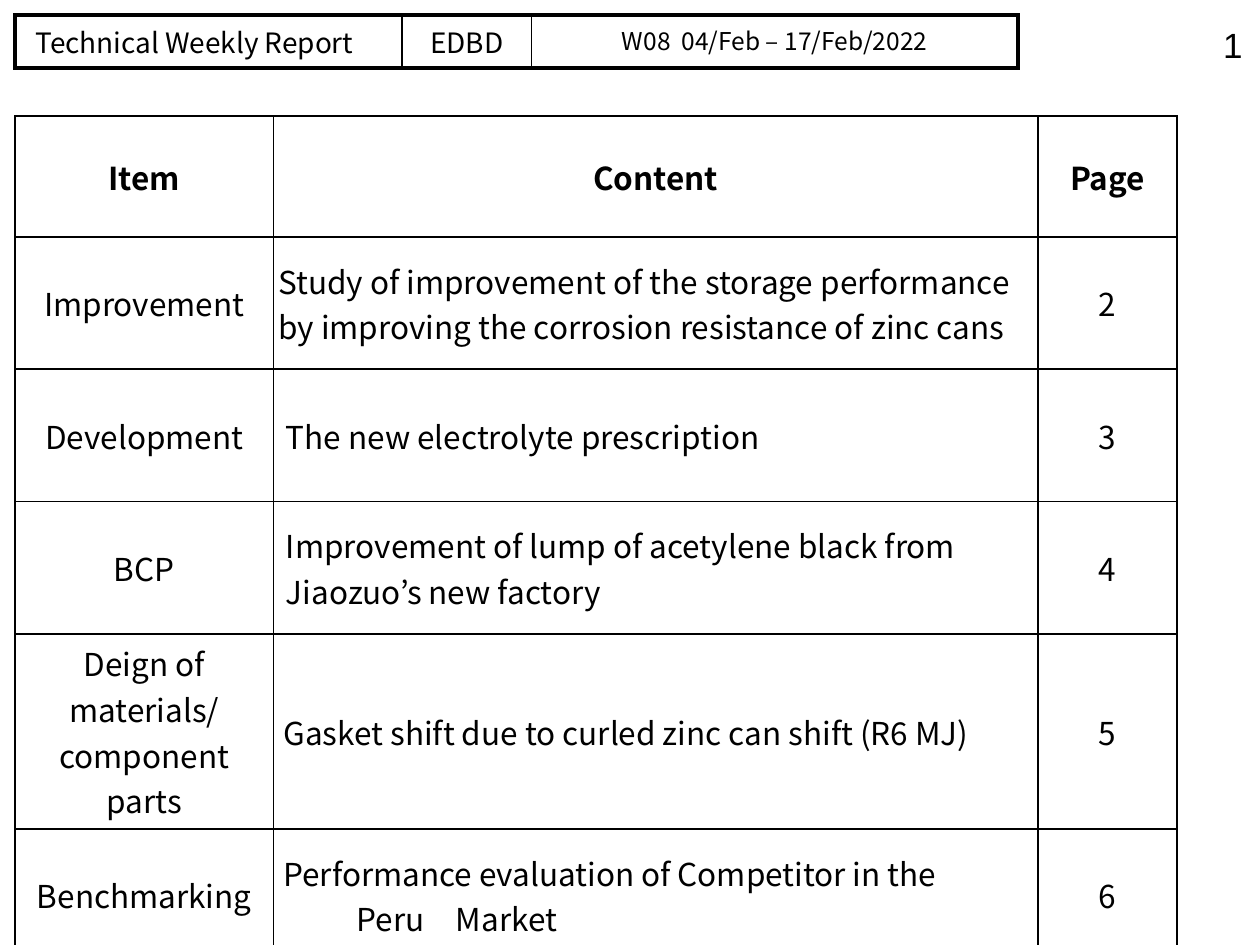
from pptx import Presentation
from pptx.dml.color import RGBColor
from pptx.enum.text import MSO_ANCHOR, PP_ALIGN
from pptx.oxml.ns import qn
from pptx.util import Inches, Pt
from lxml.etree import SubElement

BLACK = RGBColor(0, 0, 0)
FONT = "Noto Sans CJK JP"
THIN, THICK = 1, 2.25

ITEMS = [  # item lines, content, side margin, hanging indent, row height
    (["Improvement"], "Study of improvement of the storage performance "
     "by improving the corrosion resistance of zinc cans", 0.04, 0, 1.05),
    (["Development"], "The new electrolyte prescription", 0.1, 0, 1.05),
    (["BCP"], "Improvement of lump of acetylene black from "
     "Jiaozuo’s new factory", 0.1, 0, 1.05),
    (["Deign of materials/", "component parts"],
     "Gasket shift due to curled zinc can shift (R6 MJ)", 0.08, 0.58, 1.55),
    (["Benchmarking"], "Performance evaluation of Competitor in the "
     "Peru　Market", 0.08, 0.58, 1.05),
]


def add_run(para, text, size, font=FONT, bold=False):
    run = para.add_run()
    run.text = text
    run.font.size = Pt(size)
    run.font.name = font
    run.font.bold = bold
    run.font.color.rgb = BLACK


def set_edges(cell, left, top, right, bottom):
    """Draw the four borders, given as widths in points."""
    cell.fill.background()
    props = cell._tc.get_or_add_tcPr()
    widths = {"L": left, "R": right, "T": top, "B": bottom}
    for place, (side, width) in enumerate(widths.items()):
        line = SubElement(props, qn(f"a:ln{side}"), w=str(Pt(width)))
        fill = SubElement(line, qn("a:solidFill"))
        SubElement(fill, qn("a:srgbClr"), val=str(BLACK))
        props.insert(place, line)


def fill_cell(cell, lines, size, bold=False, align=PP_ALIGN.CENTER,
              margin=0.1, hang=0, anchor=MSO_ANCHOR.MIDDLE):
    cell.vertical_anchor = anchor
    cell.margin_left = cell.margin_right = Inches(margin)
    cell.margin_top = cell.margin_bottom = Inches(0.05)
    frame = cell.text_frame
    for i, text in enumerate(lines):
        para = frame.add_paragraph() if i else frame.paragraphs[0]
        para.alignment = align
        if hang:
            props = para._p.get_or_add_pPr()
            props.set("marL", str(Inches(hang)))
            props.set("indent", str(-Inches(hang)))
        add_run(para, text, size, bold=bold)


def add_grid(slide, left, top, widths, heights):
    table = slide.shapes.add_table(
        len(heights), len(widths), Inches(left), Inches(top),
        Inches(sum(widths)), Inches(sum(heights))).table
    table.first_row = table.horz_banding = False
    for col, width in zip(table.columns, widths):
        col.width = Inches(width)
    for row, height in zip(table.rows, heights):
        row.height = Inches(height)
    return table


def add_number(slide, left, top, width, height):
    frame = slide.shapes.add_textbox(
        Inches(left), Inches(top), Inches(width), Inches(height)).text_frame
    frame.word_wrap = True
    frame.vertical_anchor = MSO_ANCHOR.TOP
    para = frame.paragraphs[0]
    para.alignment = PP_ALIGN.RIGHT
    add_run(para, "1", 20, "Arial")


def add_index(slide, left, top):
    table = add_grid(slide, left, top, [2.05, 6.07, 1.1],
                     [0.96] + [item[-1] for item in ITEMS])
    for col, title in enumerate(["Item", "Content", "Page"]):
        fill_cell(table.cell(0, col), [title], 18, bold=True)
    for row, (names, content, margin, hang, _) in enumerate(ITEMS, 1):
        fill_cell(table.cell(row, 0), names, 18)
        fill_cell(table.cell(row, 1), [content], 18, align=PP_ALIGN.LEFT,
                  margin=margin, hang=hang)
        fill_cell(table.cell(row, 2), [str(row + 1)], 18)
    for cell in table.iter_cells():
        set_edges(cell, THIN, THIN, THIN, THIN)


def add_header(slide, left, top):
    table = add_grid(slide, left, top, [3.07, 1.03, 3.86], [0.42])
    parts = [("Technical Weekly Report　", 16), ("EDBD", 16),
             ("W08  04/Feb – 17/Feb/2022", 14)]
    last = len(parts) - 1
    for col, (text, size) in enumerate(parts):
        cell = table.cell(0, col)
        fill_cell(cell, [text], size, anchor=MSO_ANCHOR.TOP)
        set_edges(cell, THIN if col else THICK, THICK,
                  THICK if col == last else THIN, THICK)


def main():
    deck = Presentation()
    deck.slide_width, deck.slide_height = Inches(10), Inches(7.5)
    slide = deck.slides.add_slide(deck.slide_layouts[6])
    add_number(slide, 7.63, 0.14, 2.33, 0.52)
    add_index(slide, 0.12, 0.92)
    add_header(slide, 0.12, 0.12)
    deck.save("out.pptx")


if __name__ == "__main__":
    main()
